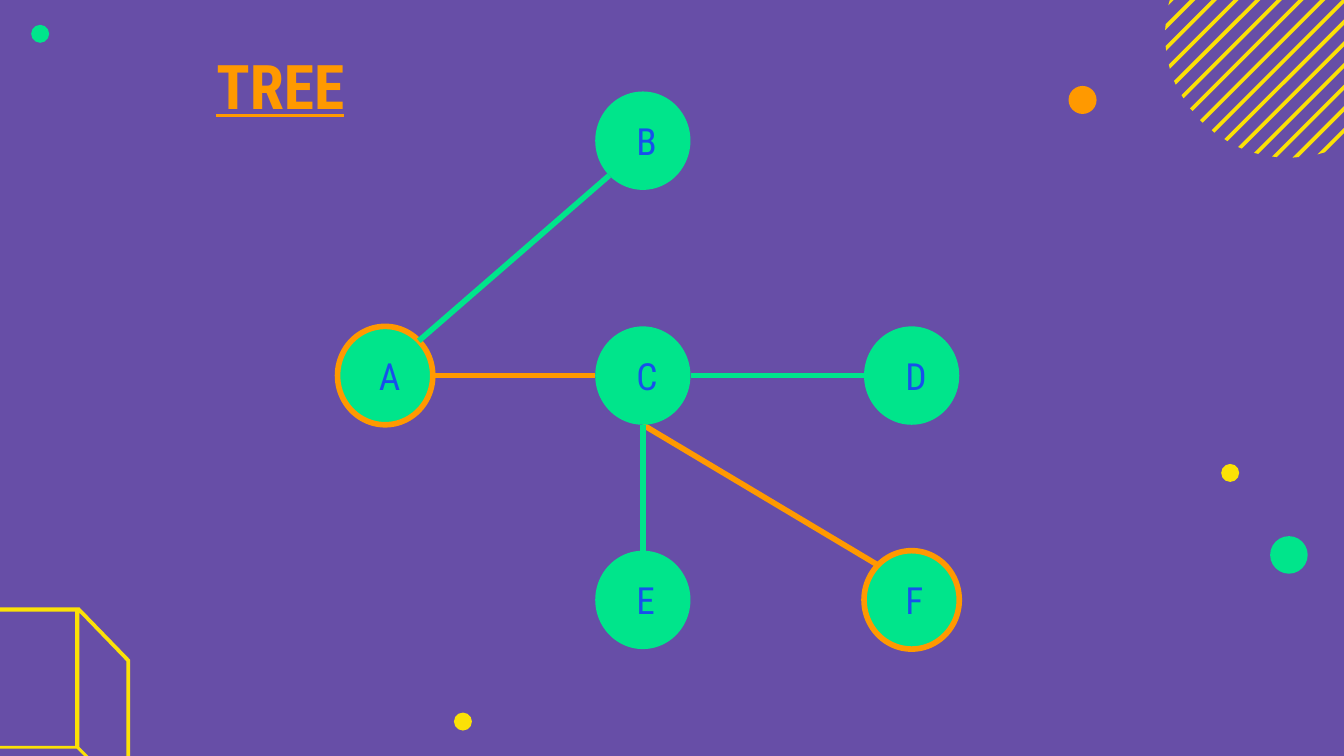
from math import sqrt
from pptx import Presentation
from pptx import util as u
from pptx.dml import color
from pptx.enum import shapes
from lxml import etree

HUES = {"back": "674EA7", "yellow": "FBE106", "orange": "FF9900",
        "green": "00E58B", "blue": "1750EB"}
HUES = {name: color.RGBColor.from_string(code) for name, code in HUES.items()}
FONT = "Roboto Condensed"

deck = Presentation()
deck.slide_width, deck.slide_height = u.Cm(25.4), u.Cm(14.29)
slide = deck.slides.add_slide(deck.slide_layouts[6])
slide.background.fill.solid()
slide.background.fill.fore_color.rgb = HUES["back"]
items = slide.shapes


def paint(shape, fill, edge=None):
    shape.shadow.inherit = False
    shape.fill.solid()
    shape.fill.fore_color.rgb = HUES[fill]
    if edge:
        shape.line.color.rgb = HUES[edge]
        shape.line.width = u.Pt(3)
    else:
        shape.line.fill.background()


def write(words, left, top, width, height, size, hue):
    box = items.add_textbox(*map(u.Cm, (left, top, width, height)))
    frame = box.text_frame
    frame.word_wrap = True
    frame.margin_left = frame.margin_right = u.Cm(0.25)
    frame.margin_top = frame.margin_bottom = u.Cm(0.25)
    para = frame.paragraphs[0]
    para.text = words
    para.font.name, para.font.size = FONT, u.Pt(size)
    para.font.color.rgb = HUES[hue]
    return para


# Outlines, each a list of closed contours in cm: first the cube with its open faces
forms = [[
    [(-1.19, 11.48), (-1.19, 14.15), (-0.2, 15.14), (2.46, 15.14), (2.46, 12.47), (1.5, 11.48)],
    [(1.42, 11.56), (1.42, 14.1), (-1.12, 14.1), (-1.12, 11.56)],
    [(1.5, 11.58), (2.39, 12.5), (2.39, 15.01), (1.5, 14.12)],
    [(1.45, 14.15), (2.36, 15.06), (-0.18, 15.06), (-1.09, 14.15)],
]]

# Striped disc: diagonal chords at equal steps
mid_x, mid_y, radius, step, band = 24.36, 0.64, 2.34, 0.41, 0.1
for k in range(-7, 8):
    ends = []
    for shift in (k * step - band / 2, k * step + band / 2):
        half = sqrt(radius ** 2 / 2 - shift ** 2 / 4)
        ends.append([(mid_x + shift / 2 + s * half, mid_y + shift / 2 - s * half)
                     for s in (1, -1)])
    forms.append([ends[0] + ends[1][::-1]])

for form in forms:
    rings = [[(x * 100, y * 100) for x, y in ring] for ring in form]
    pen = items.build_freeform(*rings[0][0], scale=u.Cm(0.01))
    pen.add_line_segments(rings[0][1:])
    for ring in rings[1:]:
        pen.move_to(*ring[0])
        pen.add_line_segments(ring[1:])
    paint(pen.convert_to_shape(), "yellow")

# Loose dots: centre, width, colour
for x, y, wide, hue in [(8.75, 13.64, 0.34, "yellow"), (23.25, 8.94, 0.34, "yellow"),
                        (20.46, 1.89, 0.53, "orange"), (24.36, 10.49, 0.71, "green"),
                        (0.76, 0.64, 0.34, "green")]:
    dot = items.add_shape(shapes.MSO_SHAPE.OVAL, u.Cm(x - wide / 2), u.Cm(y - wide / 2),
                          u.Cm(wide), u.Cm(wide))
    paint(dot, hue)

# Tree: node centres, half sizes, and edges with the direction of each end
cols, rows = (7.28, 12.15, 17.23), (2.66, 7.1, 11.34)
nodes = {"A": (cols[0], rows[1]), "C": (cols[1], rows[1]), "D": (cols[2], rows[1]),
         "B": (cols[1], rows[0]), "E": (cols[1], rows[2]), "F": (cols[2], rows[2])}
rx, ry, diag = 0.9, 0.93, sqrt(0.5)
edges = [("F", (-diag, -diag), "C", (0, 1), "orange"),
         ("A", (1, 0), "C", (-1, 0), "orange"),
         ("C", (1, 0), "D", (-1, 0), "green"),
         ("E", (0, -1), "C", (0, 1), "green"),
         ("A", (diag, -diag), "B", (-diag, diag), "green")]

for rank, (start, out, stop, into, hue) in enumerate(edges):
    # The first edge lies behind the nodes
    if rank == 1:
        for name, (x, y) in nodes.items():
            node = items.add_shape(shapes.MSO_SHAPE.OVAL, u.Cm(x - rx), u.Cm(y - ry),
                                   u.Cm(2 * rx), u.Cm(2 * ry))
            paint(node, "green", "orange" if name in "AF" else None)
            write(name, x - 0.37, y - 0.68, 0.76, 1.36, 20, "blue")
    spots = [u.Cm(c + d * r) for key, way in ((start, out), (stop, into))
             for c, d, r in zip(nodes[key], way, (rx, ry))]
    edge = items.add_connector(shapes.MSO_CONNECTOR.STRAIGHT, *spots)
    edge.line.color.rgb = HUES[hue]
    edge.line.width = u.Pt(3)
    etree.SubElement(edge._element.spPr,
                     "{http://schemas.openxmlformats.org/drawingml/2006/main}effectLst")

# Title
title = write("TREE", 3.84, 0.66, 5.51, 1.93, 33, "orange")
title.font.bold = title.font.underline = True

deck.save("out.pptx")
